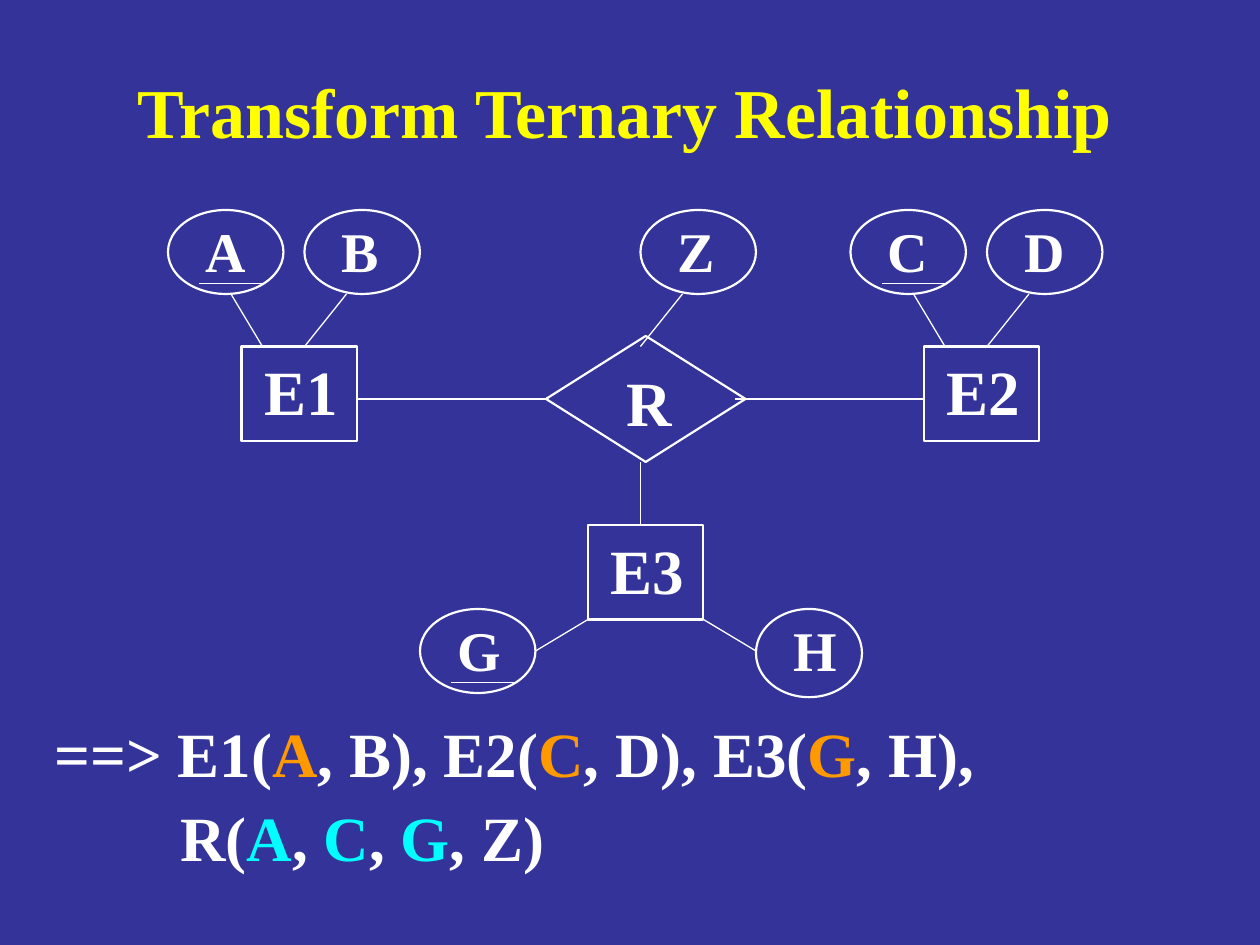
from dataclasses import dataclass

from lxml.etree import SubElement
from pptx import Presentation
from pptx.dml.color import RGBColor
from pptx.enum.shapes import MSO_CONNECTOR, MSO_SHAPE
from pptx.enum.text import MSO_ANCHOR, PP_ALIGN
from pptx.oxml.ns import qn
from pptx.util import Cm, Pt


@dataclass(frozen=True)
class Theme:
    face: str = "Times New Roman"
    back: str = "333399"
    head: str = "FFFF00"
    ink: str = "FFFFFF"
    key: str = "FF9900"
    ref: str = "00FFFF"
    title: int = 40
    large: int = 36
    small: int = 32
    edge: float = 1.25
    thin: float = 0.75


def unit(num):
    """Grid step: twelve to the inch."""
    return Cm(num * 2.54 / 12)


def style(item, form):
    for name, value in form.items():
        setattr(item, name, value)


class Sheet:
    def __init__(self, slide, theme):
        self.slide, self.theme = slide, theme
        fill = slide.background.fill
        fill.solid()
        fill.fore_color.rgb = RGBColor.from_string(theme.back)

    def text(self, box, lines, size, pad=0.25, **form):
        """Each line is a list of (words, colour) pairs."""
        shape = self.slide.shapes.add_textbox(*map(unit, box))
        frame = shape.text_frame
        style(frame, {"word_wrap": True, "margin_left": Cm(pad),
                      "margin_right": 0, "margin_top": Cm(0.13),
                      "margin_bottom": Cm(0.13),
                      "vertical_anchor": MSO_ANCHOR.TOP} | form)
        for num, line in enumerate(lines):
            para = frame.add_paragraph() if num else frame.paragraphs[0]
            for words, tint in line:
                run = para.add_run()
                run.text = words
                style(run.font, {"name": self.theme.face, "bold": True,
                                 "size": Pt(size)})
                run.font.color.rgb = RGBColor.from_string(tint)
        return frame.paragraphs

    def node(self, kind, box):
        shape = self.slide.shapes.add_shape(kind, *map(unit, box))
        shape.shadow.inherit = False
        shape.fill.background()
        shape.line.color.rgb = RGBColor.from_string(self.theme.ink)
        shape.line.width = Pt(self.theme.edge)

    def line(self, *ends):
        wire = self.slide.shapes.add_connector(
            MSO_CONNECTOR.STRAIGHT, *map(unit, ends))
        wire.line.color.rgb = RGBColor.from_string(self.theme.ink)
        wire.line.width = Pt(self.theme.thin)
        SubElement(wire._element.spPr, qn("a:effectLst"))

    def field(self, name, left, top, key=False, wide=11, high=8):
        """Attribute oval, underlined if it is a key."""
        self.text((left + 1, top, 8, 7.7), [[(name, self.theme.ink)]],
                  self.theme.small, pad=0.54)
        self.node(MSO_SHAPE.OVAL, (left, top, wide, high))
        if key:
            self.line(left + 3, top + 7, left + 9, top + 7)

    def entity(self, name, left, top):
        self.text((left + 1, top, 9.4, 8.4), [[(name, self.theme.ink)]],
                  self.theme.large)
        self.node(MSO_SHAPE.RECTANGLE, (left, top, 11, 9))

    def bond(self, name, left, top):
        self.node(MSO_SHAPE.DIAMOND, (left, top, 19, 12))
        self.text((left + 5, top + 2, 8.2, 8.4), [[(name, self.theme.ink)]],
                  self.theme.large, pad=0.57)


def main():
    deck = Presentation()
    style(deck, {"slide_width": Cm(25.4), "slide_height": Cm(19.05)})
    theme = Theme()
    sheet = Sheet(deck.slides.add_slide(deck.slide_layouts[6]), theme)

    # Title
    head = sheet.text((5, 5, 109, 11),
                      [[("Transform Ternary Relationship", theme.head)]],
                      theme.title, margin_right=Cm(0.25),
                      vertical_anchor=MSO_ANCHOR.MIDDLE)
    head[0].alignment = PP_ALIGN.CENTER

    # Upper entities, each with a key and a plain attribute
    for name, left, key, plain in (("E1", 23, "A", "B"), ("E2", 88, "C", "D")):
        sheet.entity(name, left, 33)
        sheet.field(key, left - 7, 20, key=True)
        sheet.field(plain, left + 6, 20)
        sheet.line(left - 1, 28, left + 2, 33)
        sheet.line(left + 10, 28, left + 6, 33)

    # Relationship and its attribute
    sheet.bond("R", 52, 32)
    sheet.field("Z", 61, 20)
    sheet.line(65, 28, 61, 33)

    # Lower entity
    sheet.entity("E3", 56, 50)
    sheet.field("G", 40, 58, key=True)
    sheet.field("H", 72, 58, wide=10.1, high=8.4)
    sheet.line(56, 59, 51, 62)
    sheet.line(67, 59, 72, 62)

    # Links from the relationship to the entities
    sheet.line(34, 38, 52, 38)
    sheet.line(70, 38, 88, 38)
    sheet.line(61, 44, 61, 50)

    # Resulting relations
    ink, key, ref = theme.ink, theme.key, theme.ref
    rows = sheet.text((4, 68.3, 112, 17), [
        [("==> E1(", ink), ("A", key), (", B), E2(", ink), ("C", key),
         (", D), E3(", ink), ("G", key), (", H),", ink)],
        [("R(", ink), ("A", ref), (", ", ink), ("C", ref), (", ", ink),
         ("G", ref), (", Z)", ink)]], theme.large)
    for row in rows:
        row.line_spacing = 0.9
    rows[1].space_before = Pt(9)
    rows[1]._p.get_or_add_pPr().set("marL", str(Cm(2.54)))

    deck.save("out.pptx")


if __name__ == "__main__":
    main()
